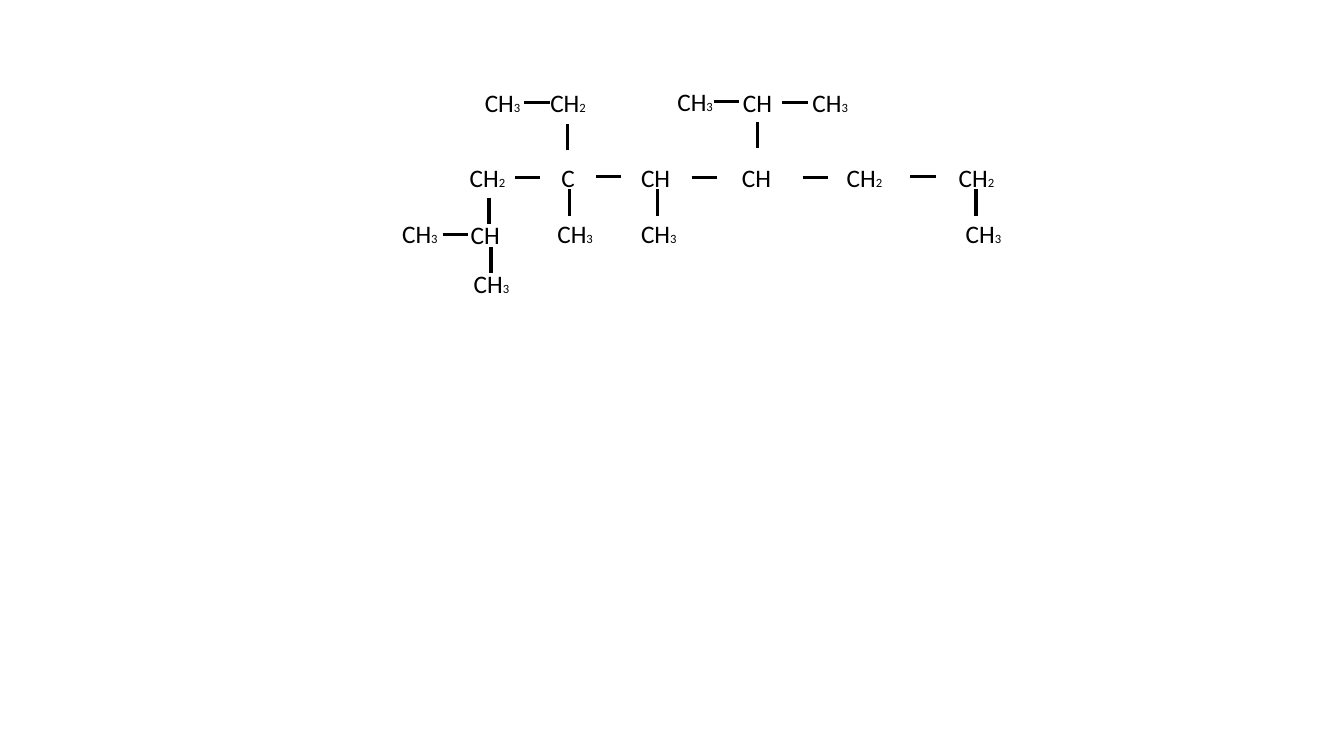
from dataclasses import dataclass

from lxml import etree
from pptx import Presentation
from pptx.dml.color import RGBColor
from pptx.enum.shapes import MSO_CONNECTOR
from pptx.enum.text import MSO_AUTO_SIZE
from pptx.oxml.ns import qn
from pptx.slide import Slide
from pptx.util import Inches, Pt

STRAIGHT = MSO_CONNECTOR.STRAIGHT
GROW = MSO_AUTO_SIZE.SHAPE_TO_FIT_TEXT
BLACK = RGBColor(0, 0, 0)
FONT = "Calibri"
ATOM_SIZE = 18
COUNT_SIZE = 9
GROUP_HEIGHT = 0.4
GROUP_WIDTHS = {"C": 0.34, "CH": 0.49}
COUNTED_WIDTH = 0.56
BOND_WIDTH = 2.25
ACROSS = (0.25, 0)
DOWN = (0, 0.26)

BRANCH_TOP = 0.82
CHAIN_TOP = 1.56
BRANCH_BOTTOM = 2.12


@dataclass(frozen=True)
class Group:
    left: float
    top: float
    atoms: str
    count: str = ""


@dataclass(frozen=True)
class Bond:
    left: float
    top: float
    span: tuple[float, float]


GROUPS = [
    Group(4.71, BRANCH_TOP, "CH", "3"),
    Group(5.36, BRANCH_TOP, "CH", "2"),
    Group(6.62, 0.81, "CH", "3"),
    Group(7.27, BRANCH_TOP, "CH"),
    Group(7.96, BRANCH_TOP, "CH", "3"),
    Group(4.56, CHAIN_TOP, "CH", "2"),
    Group(5.47, CHAIN_TOP, "C"),
    Group(6.26, CHAIN_TOP, "CH"),
    Group(7.26, CHAIN_TOP, "CH"),
    Group(8.3, CHAIN_TOP, "CH", "2"),
    Group(9.41, CHAIN_TOP, "CH", "2"),
    Group(3.89, BRANCH_BOTTOM, "CH", "3"),
    Group(4.57, 2.13, "CH"),
    Group(5.43, BRANCH_BOTTOM, "CH", "3"),
    Group(6.26, BRANCH_BOTTOM, "CH", "3"),
    Group(9.48, BRANCH_BOTTOM, "CH", "3"),
    Group(4.6, 2.61, "CH", "3"),
]

BONDS = [
    Bond(5.2, 1.02, ACROSS),
    Bond(7.08, 1.01, ACROSS),
    Bond(7.76, 1.02, ACROSS),
    Bond(5.11, 1.76, ACROSS),
    Bond(5.91, 1.75, ACROSS),
    Bond(6.86, 1.76, ACROSS),
    Bond(7.96, 1.76, ACROSS),
    Bond(9.03, 1.75, ACROSS),
    Bond(4.39, 2.33, ACROSS),
    Bond(5.63, 1.23, DOWN),
    Bond(7.51, 1.21, DOWN),
    Bond(4.85, 1.96, DOWN),
    Bond(5.65, 1.88, DOWN),
    Bond(6.52, 1.88, DOWN),
    Bond(9.68, 1.88, DOWN),
    Bond(4.87, 2.45, DOWN),
]


def draw_group(page: Slide, group: Group) -> None:
    width = COUNTED_WIDTH if group.count else GROUP_WIDTHS[group.atoms]
    box = page.shapes.add_textbox(
        Inches(group.left), Inches(group.top), Inches(width), Inches(GROUP_HEIGHT)
    )
    box.text_frame.word_wrap = False
    box.text_frame.auto_size = GROW
    para = box.text_frame.paragraphs[0]
    for text, size in ((group.atoms, ATOM_SIZE), (group.count, COUNT_SIZE)):
        if text:
            span = para.add_run()
            span.text = text
            span.font.name = FONT
            span.font.size = Pt(size)
            span.font.color.rgb = BLACK


def draw_bond(page: Slide, bond: Bond) -> None:
    across, down = bond.span
    line = page.shapes.add_connector(
        STRAIGHT,
        Inches(bond.left),
        Inches(bond.top),
        Inches(bond.left + across),
        Inches(bond.top + down),
    )
    line.line.color.rgb = BLACK
    line.line.width = Pt(BOND_WIDTH)
    etree.SubElement(line._element.spPr, qn("a:effectLst"))


def main() -> None:
    deck = Presentation()
    deck.slide_width = Inches(13.33)
    deck.slide_height = Inches(7.5)
    page = deck.slides.add_slide(deck.slide_layouts[6])
    for group in GROUPS:
        draw_group(page, group)
    for bond in BONDS:
        draw_bond(page, bond)
    deck.save("out.pptx")


if __name__ == "__main__":
    main()
